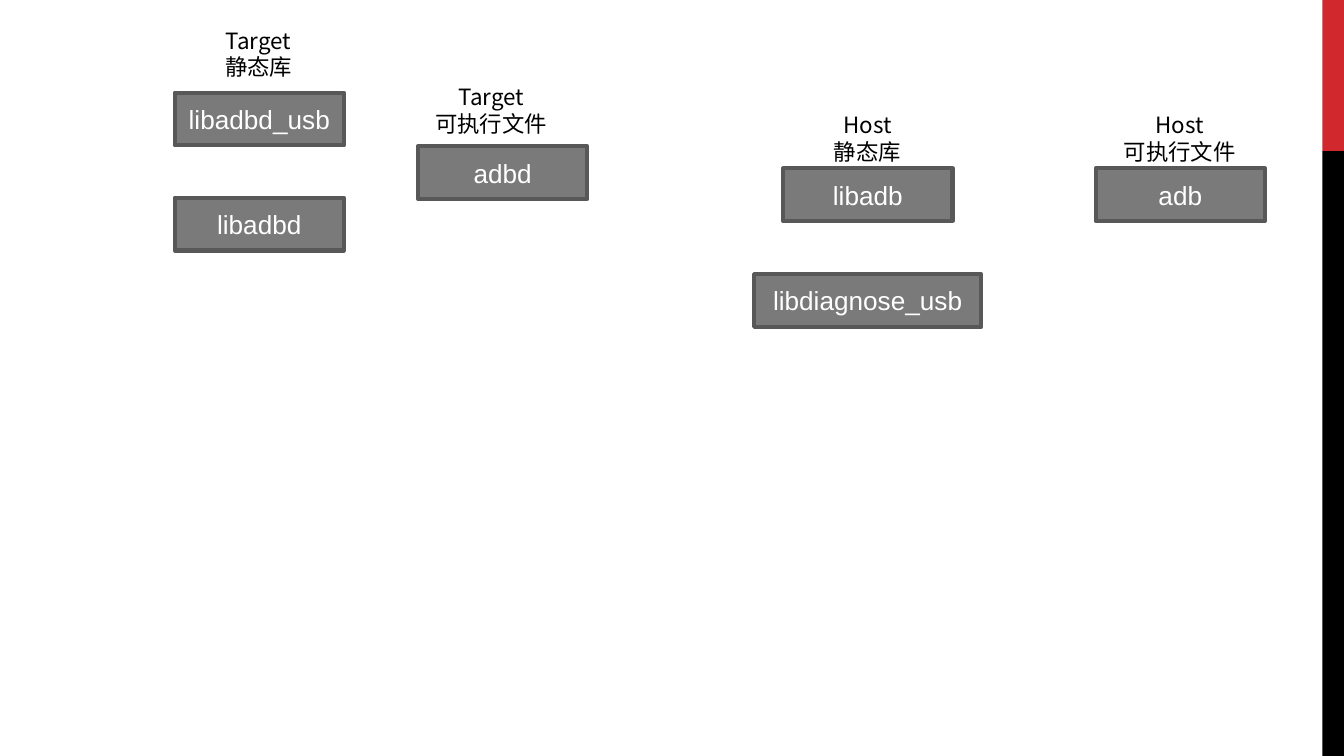
import pptx
import pptx.dml.color
import pptx.enum.shapes
import pptx.enum.text
import pptx.oxml.ns
import pptx.util
from dataclasses import dataclass
from lxml import etree

Pt = pptx.util.Pt
SLIDE_W, SLIDE_H = 720, 405
BAR_X, BAR_SPLIT = 708.5, 81
MODULE_W, MODULE_H = 90.7, 28.2
LABEL_FONT = "Noto Sans CJK SC"


@dataclass
class Module:
    name: str
    x: float
    y: float
    w: float = MODULE_W


@dataclass
class Label:
    side: str
    kind: str
    x: float
    y: float
    w: float
    h: float = 36


MODULES = [
    Module("libadbd_usb", 93.6, 49.7),
    Module("libadbd", 93.6, 106),
    Module("adbd", 224, 78.4),
    Module("libadb", 419.6, 90.2),
    Module("libdiagnose_usb", 404, 146.9, 121.7),
    Module("adb", 587, 90.2),
]

LABELS = [
    Label("Target", "静态库", 113, 10.8, 51.1, 50.4),
    Label("Target", "可执行文件", 223.6, 41.2, 79.2),
    Label("Host", "静态库", 439.2, 56, 51.1),
    Label("Host", "可执行文件", 592.4, 56, 79.2),
]


def rgb(value: str) -> pptx.dml.color.RGBColor:
    return pptx.dml.color.RGBColor.from_string(value)


def style(p, text: str, font: str, size: float, color: str) -> None:
    p.text = text
    p.alignment = pptx.enum.text.PP_ALIGN.CENTER
    p.font.name = font
    p.font.size = Pt(size)
    p.font.color.rgb = rgb(color)


def add_rect(s, x: float, y: float, w: float, h: float, fill: str):
    sp = s.shapes.add_shape(pptx.enum.shapes.MSO_SHAPE.RECTANGLE,
                            Pt(x), Pt(y), Pt(w), Pt(h))
    sp.shadow.inherit = False
    sp.fill.solid()
    sp.fill.fore_color.rgb = rgb(fill)
    sp.line.fill.background()
    return sp


def add_module(s, module: Module) -> None:
    sp = add_rect(s, module.x, module.y, module.w, MODULE_H, "7A7A7A")
    sp.line.color.rgb = rgb("585858")
    sp.line.width = Pt(2.25)
    tf = sp.text_frame
    tf.vertical_anchor = pptx.enum.text.MSO_ANCHOR.MIDDLE
    style(tf.paragraphs[0], module.name, "Arial", 14, "FFFFFF")


def add_label(s, label: Label) -> None:
    sp = s.shapes.add_textbox(Pt(label.x), Pt(label.y), Pt(label.w), Pt(label.h))
    tf = sp.text_frame
    tf.word_wrap = True
    for p, text in ((tf.paragraphs[0], label.side), (tf.add_paragraph(), label.kind)):
        style(p, text, LABEL_FONT, 12, "000000")
        p.line_spacing = Pt(14.4)
        # Chinese characters take the East Asian typeface of the run
        for r in p.runs:
            ea = etree.SubElement(r.font._element, pptx.oxml.ns.qn("a:ea"))
            ea.set("typeface", LABEL_FONT)


def main() -> None:
    prs = pptx.Presentation()
    prs.slide_width, prs.slide_height = Pt(SLIDE_W), Pt(SLIDE_H)
    s = prs.slides.add_slide(prs.slide_layouts[6])

    # Bar on the right edge
    bar_w = SLIDE_W - BAR_X
    add_rect(s, BAR_X, 0, bar_w, BAR_SPLIT, "D1282E")
    add_rect(s, BAR_X, BAR_SPLIT, bar_w, SLIDE_H - BAR_SPLIT, "000000")

    # Build modules and the headings above them
    for module in MODULES:
        add_module(s, module)
    for label in LABELS:
        add_label(s, label)

    prs.save("out.pptx")


if __name__ == "__main__":
    main()
